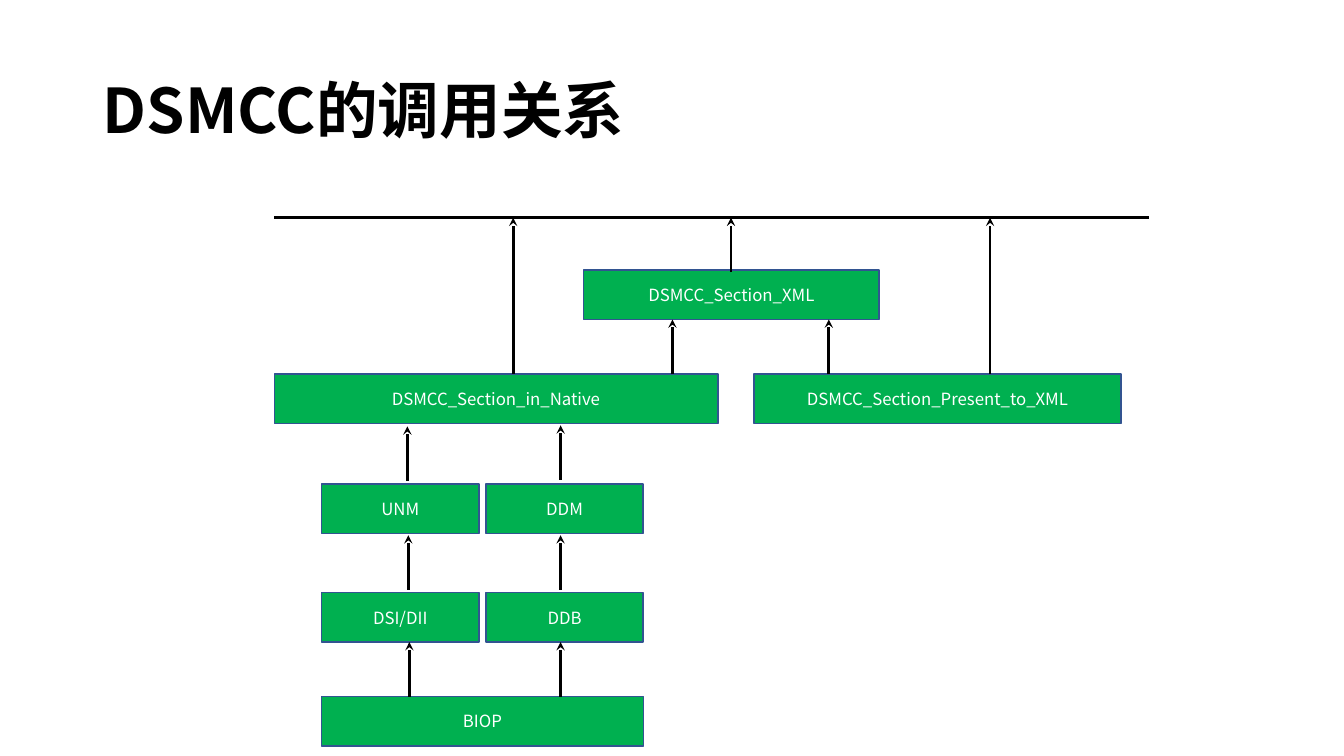
from dataclasses import dataclass

from lxml import etree
from pptx import Presentation
from pptx.dml import color
from pptx.enum import shapes, text
from pptx.oxml import ns
from pptx.util import Inches, Pt

FONT = "Noto Sans CJK SC"
BLACK, WHITE, GREEN, NAVY = "000000", "FFFFFF", "00B050", "325491"
BOX_HEIGHT = 0.49
ARROW_LENGTH = 0.54
BUS_Y = 2.16
XML_Y, SECTION_Y, MESSAGE_Y, BLOCK_Y, BIOP_Y = 2.68, 3.71, 4.8, 5.88, 6.91
LEFT_X, RIGHT_X, SMALL_WIDTH = 3.19, 4.82, 1.56


@dataclass(frozen=True)
class Module:
    label: str
    left: float
    top: float
    width: float


@dataclass(frozen=True)
class Call:
    x: float
    start: float
    length: float = ARROW_LENGTH


MODULES = [
    Module("DSMCC_Section_XML", 5.79, XML_Y, 2.93),
    Module("DSMCC_Section_in_Native", 2.72, SECTION_Y, 4.4),
    Module("DSMCC_Section_Present_to_XML", 7.48, SECTION_Y, 3.64),
    Module("UNM", LEFT_X, MESSAGE_Y, SMALL_WIDTH),
    Module("DDM", RIGHT_X, MESSAGE_Y, SMALL_WIDTH),
    Module("DSI/DII", LEFT_X, BLOCK_Y, SMALL_WIDTH),
    Module("DDB", RIGHT_X, BLOCK_Y, SMALL_WIDTH),
    Module("BIOP", LEFT_X, BIOP_Y, RIGHT_X + SMALL_WIDTH - LEFT_X),
]

CALLS = [
    Call(7.25, 2.7),
    Call(9.82, SECTION_Y, SECTION_Y - BUS_Y),
    Call(5.09, SECTION_Y, SECTION_Y - BUS_Y),
    Call(6.67, SECTION_Y),
    Call(8.22, SECTION_Y),
    Call(4.04, 4.77),
    Call(5.56, 4.76),
    Call(4.05, 5.85),
    Call(5.56, 5.85),
    Call(4.06, BIOP_Y),
    Call(5.56, BIOP_Y),
]


def rgb(value: str) -> color.RGBColor:
    return color.RGBColor.from_string(value)


def write(box, content: str, *, size: float, fill: str, bold: bool = False,
          align=text.PP_ALIGN.LEFT, spacing: float = 1.0) -> None:
    frame = box.text_frame
    frame.word_wrap = True
    frame.vertical_anchor = text.MSO_ANCHOR.MIDDLE
    para = frame.paragraphs[0]
    para.alignment = align
    para.line_spacing = spacing
    span = para.add_run()
    span.text = content
    span.font.size = Pt(size)
    span.font.bold = bold
    span.font.name = FONT
    span.font.color.rgb = rgb(fill)
    for properties in box.element.iter(ns.qn("a:rPr")):
        etree.SubElement(properties, ns.qn("a:ea"), typeface=FONT)


def draw_module(page, module: Module) -> None:
    box = page.shapes.add_shape(
        shapes.MSO_SHAPE.RECTANGLE, Inches(module.left), Inches(module.top),
        Inches(module.width), Inches(BOX_HEIGHT))
    box.shadow.inherit = False
    box.fill.solid()
    box.fill.fore_color.rgb = rgb(GREEN)
    box.line.color.rgb = rgb(NAVY)
    box.line.width = Pt(1)
    write(box, module.label, size=12, fill=WHITE, align=text.PP_ALIGN.CENTER)


def draw_line(page, x1: float, y1: float, x2: float, y2: float, *,
              width: float, arrow: bool = False) -> None:
    line = page.shapes.add_connector(
        shapes.MSO_CONNECTOR.STRAIGHT,
        Inches(x1), Inches(y1), Inches(x2), Inches(y2))
    line.line.color.rgb = rgb(BLACK)
    line.line.width = Pt(width)
    if arrow:
        etree.SubElement(line.get_or_add_ln(), ns.qn("a:tailEnd"), type="stealth")
    etree.SubElement(line.element.spPr, ns.qn("a:effectLst"))


def draw_call(page, call: Call) -> None:
    draw_line(page, call.x, call.start, call.x, call.start - call.length,
              width=2, arrow=True)


def main() -> None:
    deck = Presentation()
    deck.slide_width, deck.slide_height = Inches(13.33), Inches(7.5)
    page = deck.slides.add_slide(deck.slide_layouts[6])

    title = page.shapes.add_textbox(
        Inches(0.92), Inches(0.4), Inches(11.5), Inches(1.45))
    write(title, "DSMCC的调用关系", size=44, fill=BLACK, bold=True, spacing=0.9)

    for module in MODULES:
        draw_module(page, module)
    draw_line(page, 2.72, BUS_Y, 11.4, BUS_Y, width=2.25)
    for call in CALLS:
        draw_call(page, call)

    deck.save("out.pptx")


if __name__ == "__main__":
    main()
